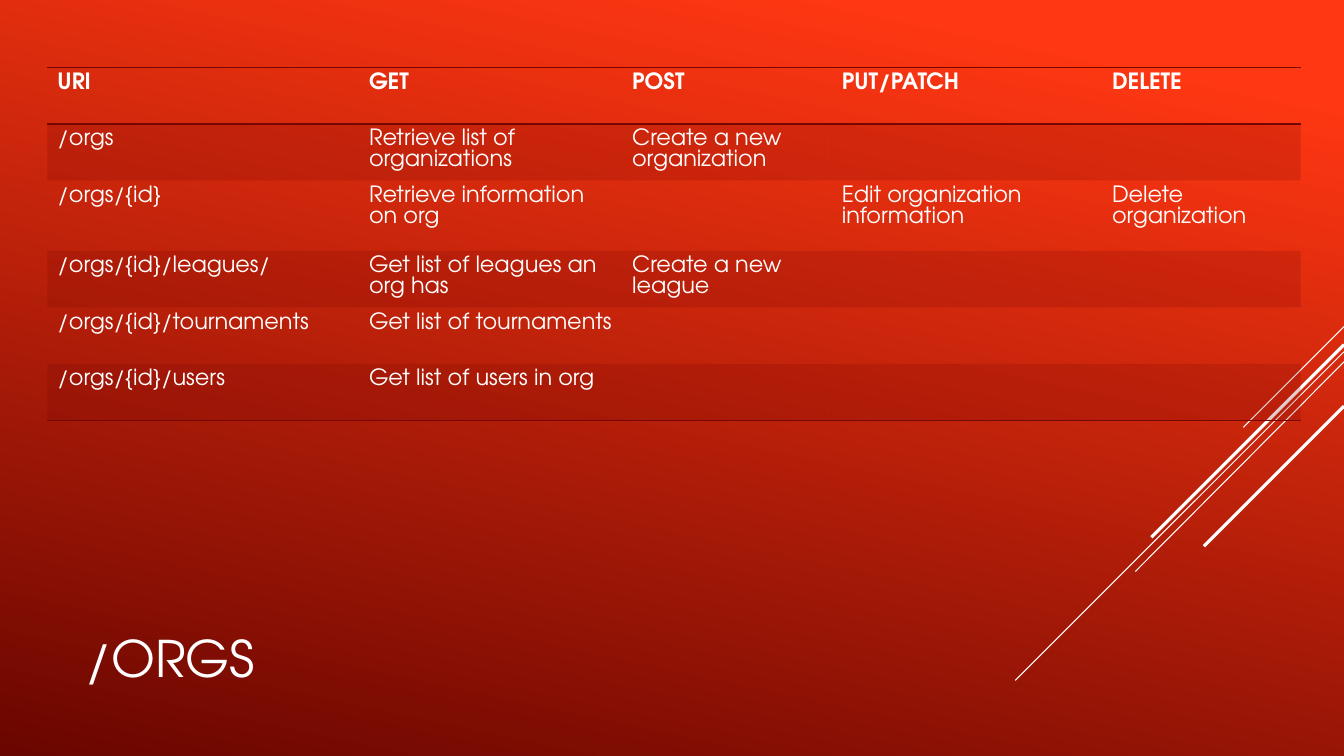
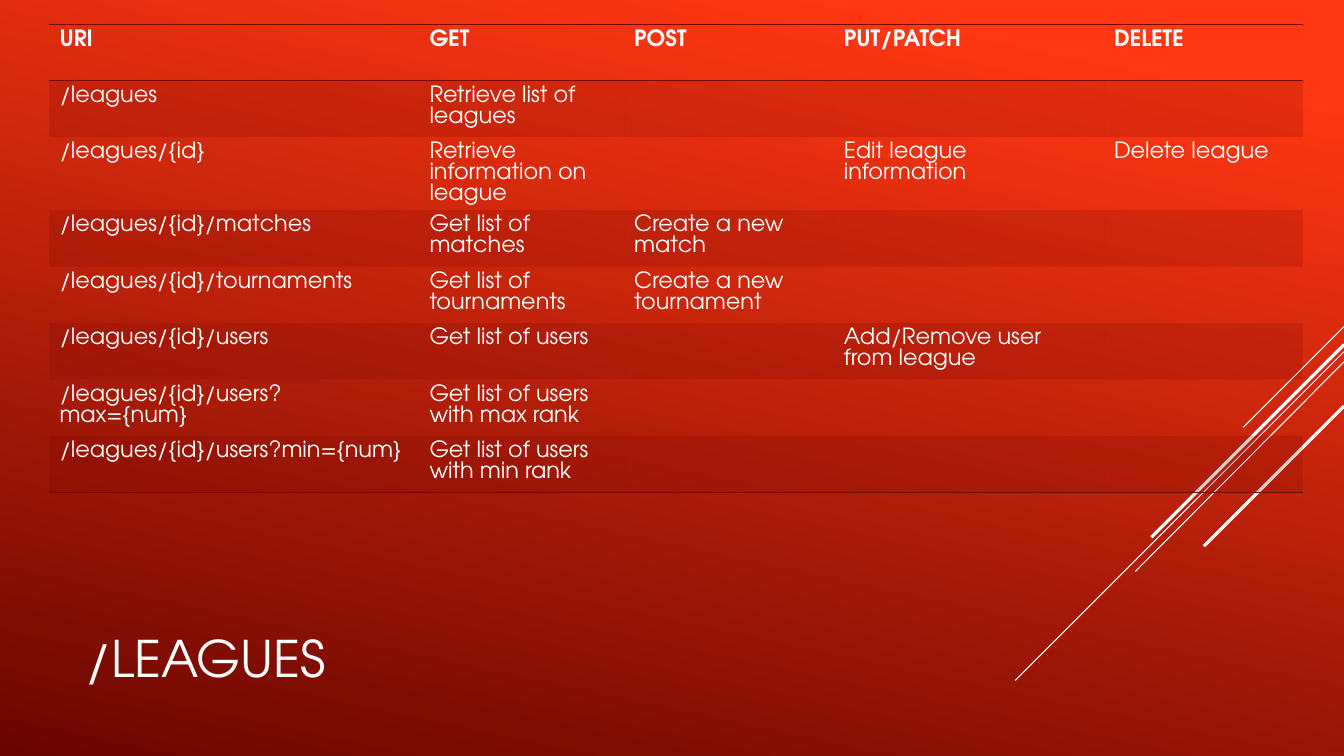
from pptx import Presentation
from pptx.dml.color import RGBColor
from pptx.enum.shapes import MSO_CONNECTOR as Connector
from pptx.enum.text import MSO_ANCHOR as Anchor
from pptx.oxml import parse_xml
from pptx.oxml.ns import nsdecls, qn
from pptx.util import Inches, Pt
from lxml.etree import SubElement

FONT = "TeX Gyre Adventor"
WHITE, BRIGHT, DARK, MAROON = "FFFFFF", "FF3712", "6A0600", "760603"
PLAIN_TABLE = "{2D5ABB26-0587-4C30-8999-92F81FD0307C}"
EDGE = 13.33
STREAKS = [
    (3.24, 12.33, 4.24, 0.75),
    (3.49, 10.07, 6.75, 0.75),
    (3.59, 11.26, 5.67, 0.75),
    (3.42, 11.42, 5.33, 2.25),
    (4.03, 11.94, 5.42, 2.25),
]
HEADER = ["URI", "GET", "POST", "PUT/PATCH", "DELETE"]
ROW, TALL_ROW = 0.56, 0.7


def color(value):
    return RGBColor.from_string(value)


class Painter:
    def __init__(self, deck):
        self.deck = deck
        self.page = None

    def new_page(self, title):
        self.page = self.deck.slides.add_slide(self.deck.slide_layouts[6])
        fill = self.page.background.fill
        fill.gradient()
        fill.gradient_angle = 258
        for stop, position, shade in zip(fill.gradient_stops, (0.1, 1), (BRIGHT, DARK)):
            stop.position = position
            stop.color.rgb = color(shade)
        for start, left, bottom, width in STREAKS:
            self.line(EDGE, start, left, bottom, width)
        self.title(title)

    def line(self, x1, y1, x2, y2, width):
        line = self.page.shapes.add_connector(
            Connector.STRAIGHT, Inches(x1), Inches(y1), Inches(x2), Inches(y2))
        line.line.color.rgb = color(WHITE)
        line.line.width = Pt(width)
        SubElement(line._element.spPr, qn("a:effectLst"))

    def run(self, para, text, size, bold=False):
        span = para.add_run()
        span.text = text
        span.font.name = FONT
        span.font.size = Pt(size)
        span.font.bold = bold
        span.font.color.rgb = color(WHITE)

    def title(self, text):
        box = self.page.shapes.add_textbox(
            Inches(0.75), Inches(5.7), Inches(9.33), Inches(1.65))
        frame = box.text_frame
        frame.word_wrap = True
        frame.vertical_anchor = Anchor.MIDDLE
        self.run(frame.paragraphs[0], text, 36)

    def table(self, left, top, widths, body):
        rows = [HEADER] + body
        heights = [TALL_ROW if index == 2 else ROW for index in range(len(rows))]
        frame = self.page.shapes.add_table(
            len(rows), len(widths), Inches(left), Inches(top),
            Inches(sum(widths)), Inches(sum(heights)))
        table = frame.table
        table.first_row = table.horz_banding = False
        table._tbl.tblPr.find(qn("a:tableStyleId")).text = PLAIN_TABLE
        for column, width in zip(table.columns, widths):
            column.width = Inches(width)
        for index, (row, height) in enumerate(zip(table.rows, heights)):
            row.height = Inches(height)
            texts = rows[index] + [""] * (len(widths) - len(rows[index]))
            sides = "TB" if index == 0 else "B" if index == len(rows) - 1 else ""
            for cell, text in zip(row.cells, texts):
                self.cell(cell, text, index == 0, index % 2 == 1, sides)

    def cell(self, cell, text, bold, banded, sides):
        if text:
            para = cell.text_frame.paragraphs[0]
            para.line_spacing = Pt(15)
            self.run(para, text, 16, bold)
        if banded:
            cell.fill.solid()
            cell.fill.fore_color.rgb = color(MAROON)
        else:
            cell.fill.background()
        properties = cell._tc.get_or_add_tcPr()
        for shade in properties.iter(qn("a:srgbClr")):
            SubElement(shade, qn("a:alpha"), val="20000")
        for position, side in enumerate(sides):
            properties.insert(position, parse_xml(
                f'<a:ln{side} {nsdecls("a")} w="12700"><a:solidFill>'
                f'<a:srgbClr val="{MAROON}"/></a:solidFill></a:ln{side}>'))


deck = Presentation()
deck.slide_width, deck.slide_height = Inches(EDGE), Inches(7.5)
painter = Painter(deck)

painter.new_page("/ORGS")
painter.table(0.47, 0.67, [3.09, 2.61, 2.08, 2.68, 1.97], [
    ["/orgs", "Retrieve list of organizations", "Create a new organization"],
    ["/orgs/{id}", "Retrieve information on org", "",
     "Edit organization information", "Delete organization"],
    ["/orgs/{id}/leagues/", "Get list of leagues an org has", "Create a new league"],
    ["/orgs/{id}/tournaments", "Get list of tournaments"],
    ["/orgs/{id}/users", "Get list of users in org"],
])

painter.new_page("/LEAGUES")
painter.table(0.49, 0.24, [3.67, 2.03, 2.08, 2.68, 1.97], [
    ["/leagues", "Retrieve list of leagues"],
    ["/leagues/{id}", "Retrieve information on league", "",
     "Edit league information", "Delete league"],
    ["/leagues/{id}/matches", "Get list of matches", "Create a new match"],
    ["/leagues/{id}/tournaments", "Get list of tournaments", "Create a new tournament"],
    ["/leagues/{id}/users", "Get list of users", "", "Add/Remove user from league"],
    ["/leagues/{id}/users?max={num}", "Get list of users with max rank"],
    ["/leagues/{id}/users?min={num}", "Get list of users with min rank"],
])

deck.save("out.pptx")
